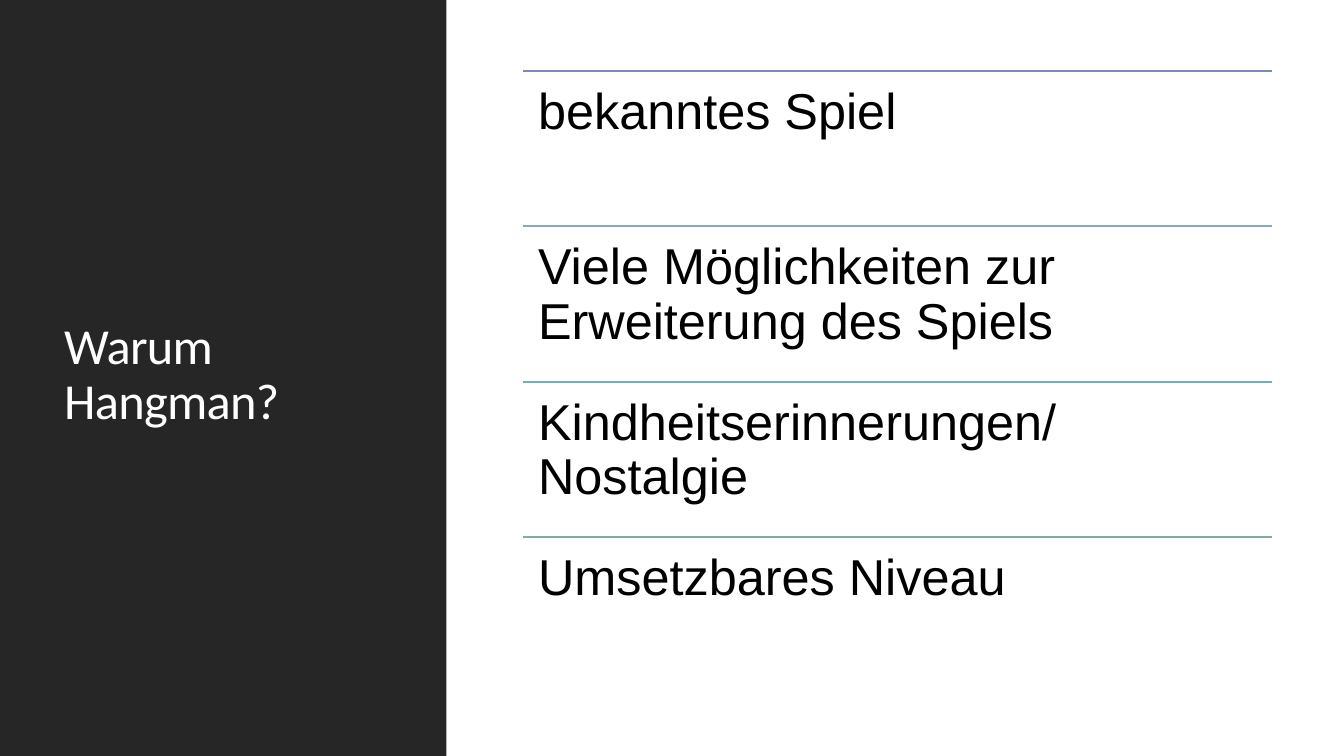
from pptx import Presentation, util as u
from pptx.dml import color
from pptx.enum import shapes, text
from pptx.oxml import xmlchemy


def rgb(value):
    return color.RGBColor.from_string(value)


class Deck:
    dark, white, black = "262626", "FFFFFF", "000000"
    size = 36
    line_width = 1.25

    def __init__(self, width, height):
        self.prs = Presentation()
        self.prs.slide_width = u.Cm(width)
        self.prs.slide_height = u.Cm(height)
        self.s = self.prs.slides.add_slide(self.prs.slide_layouts[6])
        fill = self.s.background.fill
        fill.solid()
        fill.fore_color.rgb = rgb(self.white)

    def panel(self, x, y, w, h):
        sp = self.s.shapes.add_shape(
            shapes.MSO_SHAPE.RECTANGLE, u.Cm(x), u.Cm(y), u.Cm(w), u.Cm(h))
        sp.shadow.inherit = False
        sp.fill.solid()
        sp.fill.fore_color.rgb = rgb(self.dark)
        sp.line.fill.background()

    def rule(self, x, y, w, hue):
        c = self.s.shapes.add_connector(
            shapes.MSO_CONNECTOR.STRAIGHT, u.Cm(x), u.Cm(y), u.Cm(x + w), u.Cm(y))
        c.line.color.rgb = rgb(hue)
        c.line.width = u.Pt(self.line_width)
        c._element.spPr.append(xmlchemy.OxmlElement("a:effectLst"))

    def label(self, words, x, y, w, h, font, hue, inset, anchor, spacing=0):
        sp = self.s.shapes.add_textbox(u.Cm(x), u.Cm(y), u.Cm(w), u.Cm(h))
        tf = sp.text_frame
        tf.word_wrap = True
        tf.vertical_anchor = anchor
        tf.margin_left = tf.margin_right = u.Cm(inset[0])
        tf.margin_top = tf.margin_bottom = u.Cm(inset[1])
        tf.text = words
        p = tf.paragraphs[0]
        p.line_spacing = 0.9
        r = p.runs[0]
        r.font.name = font
        r.font.size = u.Pt(self.size)
        r.font.color.rgb = rgb(hue)
        if spacing:
            r.font._element.set("spc", str(spacing))


def main():
    d = Deck(33.87, 19.05)
    d.panel(0, 0, 11.25, 19.05)
    d.label("Warum Hangman?", 1.37, 1.45, 8.56, 16.03, "Calibri", d.white,
            (0.25, 0.13), text.MSO_ANCHOR.MIDDLE, -50)

    reasons = [
        ("bekanntes Spiel", "7E88BB"),
        ("Viele Möglichkeiten zur Erweiterung des Spiels", "87A8BF"),
        ("Kindheitserinnerungen/Nostalgie", "76AFAF"),
        ("Umsetzbares Niveau", "82AD9B"),
    ]
    left, top, width, row = 13.18, 1.78, 18.87, 3.92
    for i, (reason, hue) in enumerate(reasons):
        y = top + i * row
        d.rule(left, y, width, hue)
        d.label(reason, left, y, width, row, "Arial", d.black,
                (0.38, 0.38), text.MSO_ANCHOR.TOP)
    d.prs.save("out.pptx")


if __name__ == "__main__":
    main()
